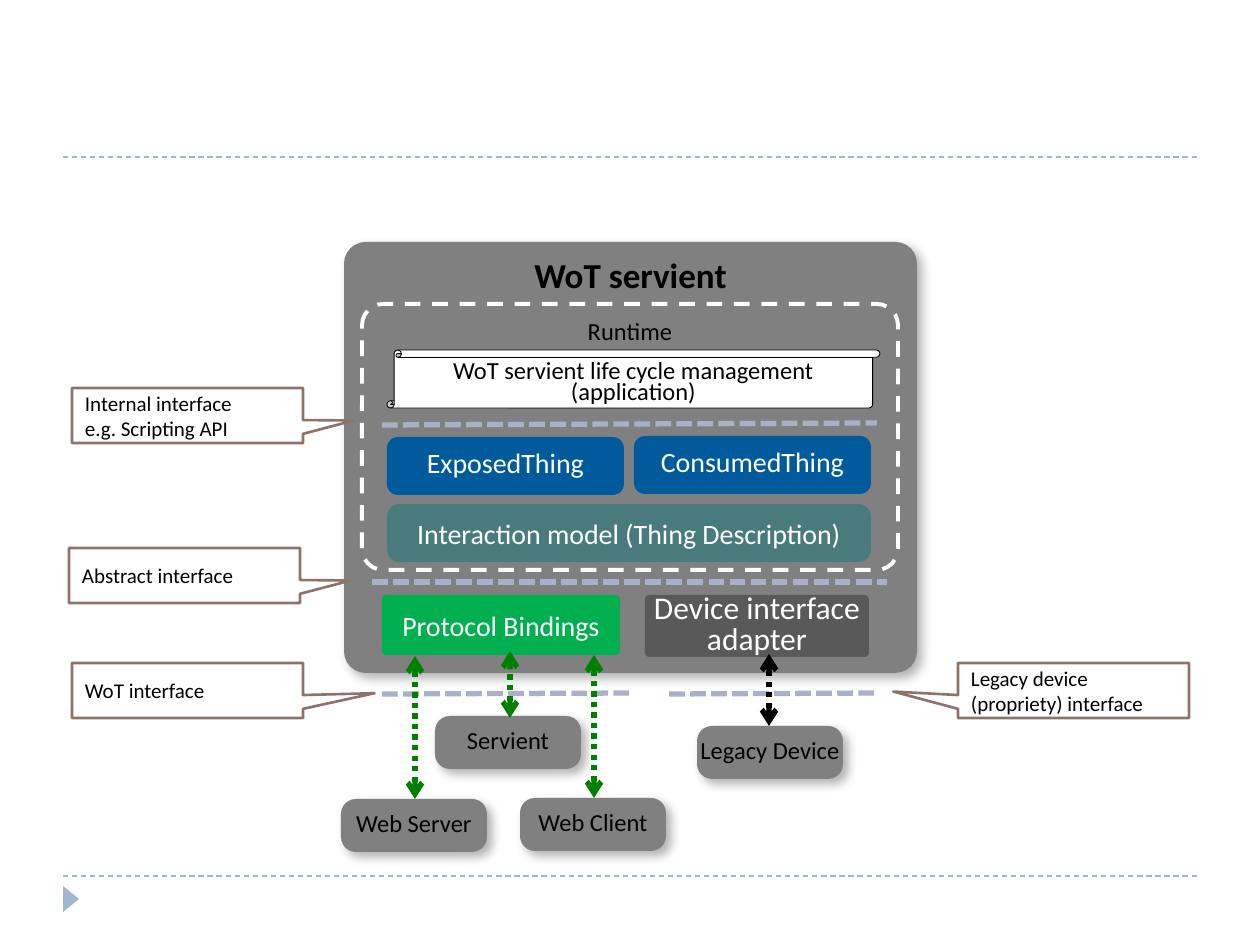
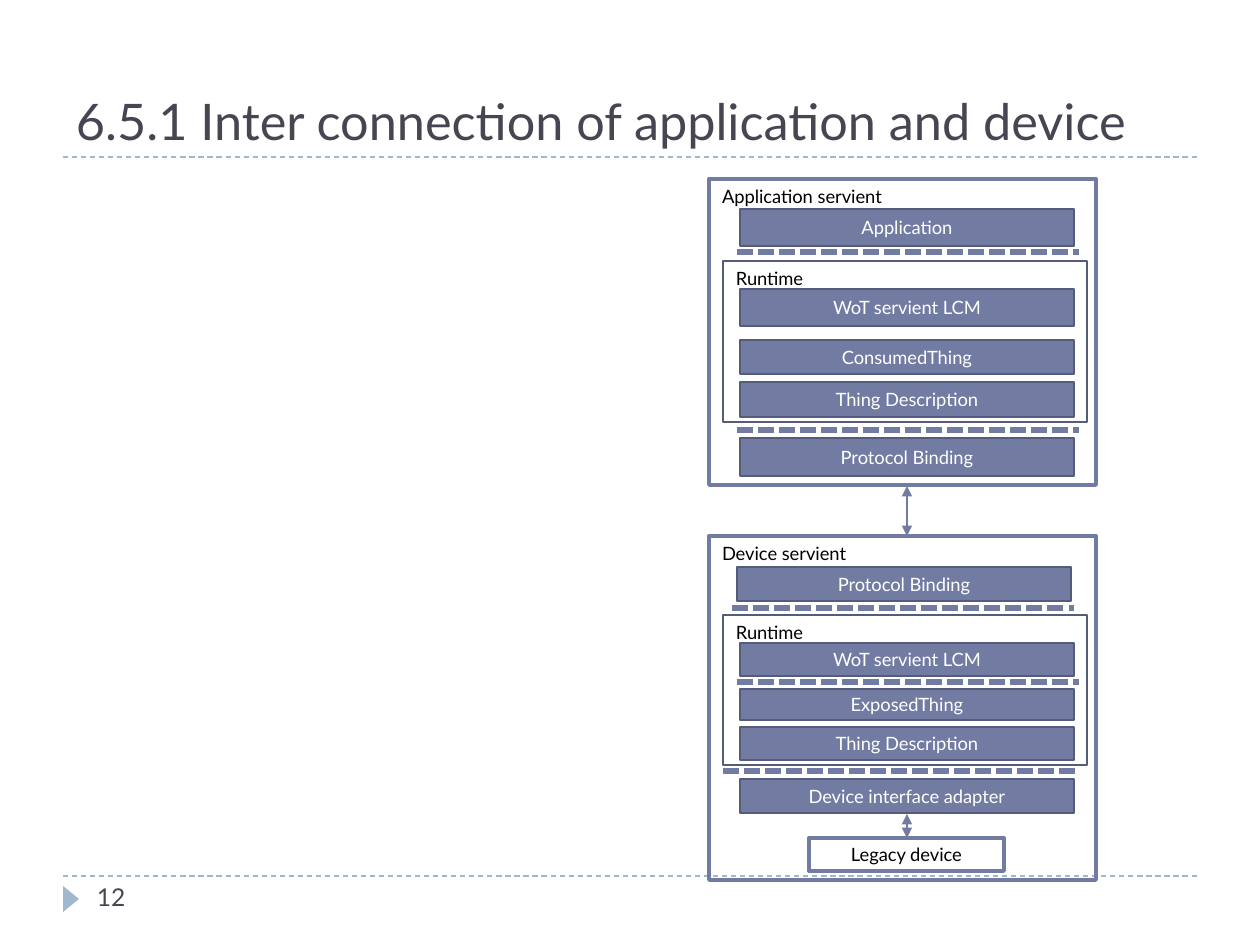
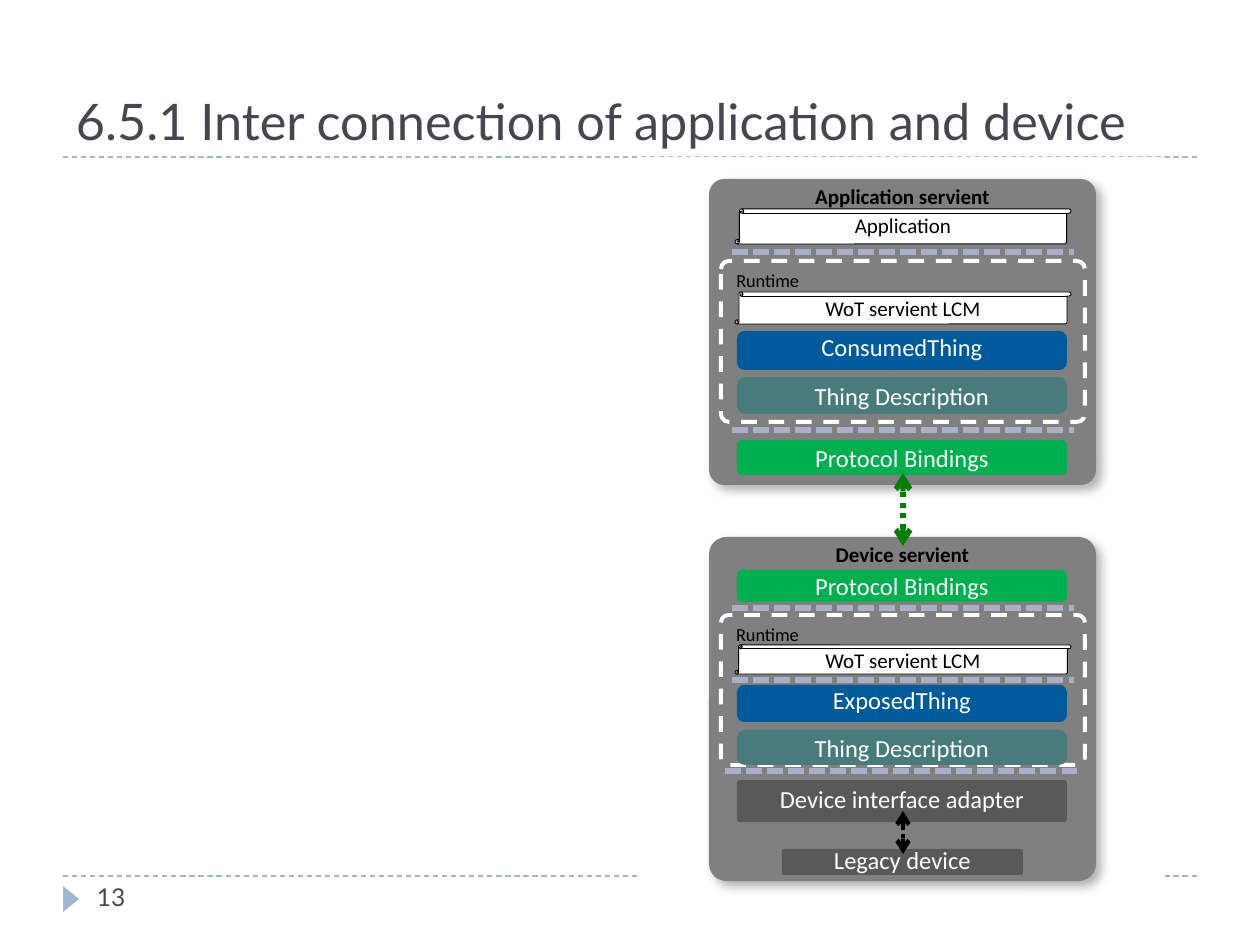
from lxml.etree import SubElement
from pptx import Presentation
from pptx.dml.color import RGBColor
from pptx.enum.dml import MSO_LINE as DASH
from pptx.enum.shapes import MSO_CONNECTOR, MSO_SHAPE as SHAPE
from pptx.enum.text import MSO_ANCHOR as ANCHOR, MSO_AUTO_SIZE, PP_ALIGN as ALIGN
from pptx.oxml.ns import qn
from pptx.util import Inches, Pt

PX = Inches(1) / 126

# Colours
WHITE = RGBColor(0xFF, 0xFF, 0xFF)
BLACK = RGBColor(0x00, 0x00, 0x00)
INK = RGBColor(0x46, 0x46, 0x53)
RULE_BLUE = RGBColor(0x9F, 0xB8, 0xCD)
GRAY = RGBColor(0x80, 0x80, 0x80)
DARK_GRAY = RGBColor(0x59, 0x59, 0x59)
LILAC = RGBColor(0xAA, 0xB0, 0xC8)
BROWN = RGBColor(0x8E, 0x73, 0x6A)
GREEN = RGBColor(0x00, 0xB0, 0x50)
ARROW_GREEN = RGBColor(0x00, 0x80, 0x00)
TEAL = RGBColor(0x4A, 0x7B, 0x7C)
BLUE = RGBColor(0x00, 0x5A, 0x9C)
SLATE = RGBColor(0x72, 0x7C, 0xA3)
DARK_SLATE = RGBColor(0x54, 0x5C, 0x79)

TITLE = "6.5.1 Inter connection of application and device"

# Text formats
BASE = {"font": "Calibri", "size": 14, "color": BLACK, "align": ALIGN.CENTER,
        "anchor": ANCHOR.MIDDLE, "wrap": False}
LIGHT = BASE | {"color": WHITE}
LATO = BASE | {"font": "Lato", "size": 10.5, "wrap": True}
LEFT_TOP = {"align": ALIGN.LEFT, "anchor": ANCHOR.TOP}
TITLE_TEXT = LATO | {"size": 28.8, "color": INK, "align": ALIGN.LEFT, "anchor": ANCHOR.BOTTOM}
NUMBER_TEXT = LATO | LEFT_TOP | {"size": 14, "color": INK}

# Box formats for the coloured diagrams
PANEL = {"kind": SHAPE.RECTANGLE, "fill": WHITE}
SERVIENT = BASE | {"fill": GRAY, "adjust": [0.05], "shadow": True, "bold": True, "size": 12,
                   "anchor": ANCHOR.TOP, "insets": (13, 0, 13, 0)}
PEER = BASE | {"fill": GRAY, "adjust": [0.28], "shadow": True, "insets": (13, 5, 13, 10)}
RUNTIME = BASE | {"line": WHITE, "width": 2.25, "dash": DASH.DASH, "adjust": [0.05],
                  "anchor": ANCHOR.TOP, "wrap": True}
SCROLL = BASE | {"kind": SHAPE.VERTICAL_SCROLL, "fill": WHITE, "line": BLACK, "width": 0.5,
                 "size": 12, "anchor": ANCHOR.TOP, "spacing": 0.7}
THING = LIGHT | {"fill": BLUE, "adjust": [0.19], "insets": (13, 6, 13, 13)}
MODEL = LIGHT | {"fill": TEAL, "adjust": [0.22]}
BINDING = LIGHT | {"fill": GREEN, "adjust": [0.15]}
ADAPTER = LIGHT | {"fill": DARK_GRAY, "adjust": [0.07], "spacing": 0.8}
CALLOUT = BASE | {"kind": SHAPE.RECTANGULAR_CALLOUT, "fill": WHITE, "line": BROWN,
                  "width": 1.5, "size": 12, "align": ALIGN.LEFT, "wrap": True}

# Box formats for the plain diagram
FRAME = LATO | LEFT_TOP | {"kind": SHAPE.RECTANGLE, "line": SLATE, "width": 2.25}
INNER_FRAME = FRAME | {"line": DARK_SLATE, "width": 1.5}
BAR = LATO | {"kind": SHAPE.RECTANGLE, "fill": SLATE, "line": DARK_SLATE, "width": 1.5,
              "color": WHITE}
LEGACY = LATO | {"kind": SHAPE.RECTANGLE, "fill": WHITE, "line": SLATE, "width": 2.25}

# Line formats
RULE = {"line": RULE_BLUE, "width": 0.75, "dash": DASH.DASH}
INTERFACE = {"line": LILAC, "width": 3, "dash": DASH.SQUARE_DOT}
PLAIN_INTERFACE = INTERFACE | {"line": SLATE}
WOT_LINK = {"line": ARROW_GREEN, "width": 3, "dash": DASH.ROUND_DOT, "ends": "arrow"}
LEGACY_LINK = WOT_LINK | {"line": BLACK}
PLAIN_LINK = {"line": SLATE, "width": 0.75, "ends": "triangle"}


def px(*lengths):
    return [round(length * PX) for length in lengths]


def write_text(text_frame, text, style):
    """Write one paragraph per line of text."""
    frame_format = {"word_wrap": style["wrap"], "vertical_anchor": style["anchor"],
                    "auto_size": MSO_AUTO_SIZE.NONE}
    sides = ("margin_left", "margin_top", "margin_right", "margin_bottom")
    frame_format |= zip(sides, px(*style.get("insets", (13, 6, 13, 6))))
    for name, value in frame_format.items():
        setattr(text_frame, name, value)
    font_format = {"name": style["font"], "size": Pt(style["size"]),
                   "bold": style.get("bold", False)}
    for index, line in enumerate(text.split("\n")):
        paragraph = text_frame.add_paragraph() if index else text_frame.paragraphs[0]
        paragraph.alignment = style["align"]
        if "spacing" in style:
            paragraph.line_spacing = style["spacing"]
        run = paragraph.add_run()
        run.text = line
        for name, value in font_format.items():
            setattr(run.font, name, value)
        run.font.color.rgb = style["color"]


def format_line(line, style):
    line.color.rgb = style["line"]
    line.width = Pt(style["width"])
    if "dash" in style:
        line.dash_style = style["dash"]


def add_shadow(shape):
    effects = shape.element.spPr.find(qn("a:effectLst"))
    shadow = SubElement(effects, qn("a:outerShdw"), blurRad=str(Pt(6)), dist=str(Pt(4)),
                        dir="2700000", algn="tl", rotWithShape="0")
    color = SubElement(shadow, qn("a:srgbClr"), val=str(BLACK))
    SubElement(color, qn("a:alpha"), val="30000")


def add_box(shapes, style, box, text=""):
    shape = shapes.add_shape(style.get("kind", SHAPE.ROUNDED_RECTANGLE), *px(*box))
    shape.shadow.inherit = False
    for index, value in enumerate(style.get("adjust", [])):
        shape.adjustments[index] = value
    if "fill" in style:
        shape.fill.solid()
        shape.fill.fore_color.rgb = style["fill"]
    else:
        shape.fill.background()
    if "line" in style:
        format_line(shape.line, style)
    else:
        shape.line.fill.background()
    if style.get("shadow"):
        add_shadow(shape)
    if text:
        write_text(shape.text_frame, text, style)
    return shape


def add_line(shapes, style, *ends):
    connector = shapes.add_connector(MSO_CONNECTOR.STRAIGHT, *px(*ends))
    format_line(connector.line, style)
    properties = connector.element.spPr
    if "ends" in style:
        for tag in ("a:headEnd", "a:tailEnd"):
            SubElement(properties.find(qn("a:ln")), qn(tag), type=style["ends"])
    SubElement(properties, qn("a:effectLst"))


def add_stack(shapes, left, width, rows):
    """Add boxes that share left edge and width; a row is style, top, height, text."""
    for style, top, height, text in rows:
        add_box(shapes, style, (left, top, width, height), text)


def add_levels(shapes, style, left, right, levels):
    for level in levels:
        add_line(shapes, style, left, level, right, level)


def add_slide(presentation, number=None):
    """Add a slide with rules and marker, and with title and number if numbered."""
    layout = presentation.slide_layouts[5 if number else 6]
    slide = presentation.slides.add_slide(layout)
    add_levels(slide.shapes, RULE, 63, 1197, (876, 157))
    marker = add_box(slide.shapes, {"kind": SHAPE.ISOSCELES_TRIANGLE, "fill": RULE_BLUE},
                     (58, 891, 26, 16))
    marker.rotation = 90
    if number:
        title = slide.shapes.title
        title.left, title.top, title.width, title.height = px(63, 31, 1134, 126)
        write_text(title.text_frame, TITLE, TITLE_TEXT)
        number_box = slide.shapes.add_textbox(*px(84, 876, 273, 50))
        write_text(number_box.text_frame, str(number), NUMBER_TEXT)
    return slide


def build_servient_slide(presentation):
    shapes = add_slide(presentation).shapes
    add_box(shapes, PANEL, (35, 219, 1216, 650))
    add_box(shapes, SERVIENT | {"size": 20, "insets": (13, 5, 13, 10)},
            (344, 242, 573, 431), "WoT servient")
    add_box(shapes, RUNTIME | {"adjust": [0.08]}, (362, 304, 536, 266), "Runtime")

    # Interfaces and their callouts
    for ends in ((372, 582, 887, 582), (382, 694, 634, 693),
                 (669, 694, 878, 693), (382, 425, 877, 423)):
        add_line(shapes, INTERFACE, *ends)
    for left, top, pointer, text in (
            (69, 548, [0.72, 0.09], "Abstract interface"),
            (72, 663, [0.81, 0.05], "WoT interface"),
            (958, 663, [-0.78, 0.02], "Legacy device (propriety) interface"),
            (72, 388, [0.72, 0.09], "Internal interface\ne.g. Scripting API")):
        add_box(shapes, CALLOUT | {"adjust": pointer}, (left, top, 231, 55), text)

    # Bindings and connected peers
    add_box(shapes, BINDING | {"size": 16, "adjust": [0.07]}, (382, 595, 238, 60),
            "Protocol Bindings")
    add_box(shapes, ADAPTER | {"size": 18}, (645, 595, 224, 62), "Device interface\nadapter")
    for left, top, text in ((520, 798, "Web Client"), (341, 799, "Web Server"),
                            (435, 716, "Servient"), (697, 726, "Legacy Device")):
        add_box(shapes, PEER, (left, top, 146, 53), text)
    add_line(shapes, LEGACY_LINK, 769, 654, 769, 726)
    for center, bottom, top in ((594, 798, 655), (510, 718, 651), (415, 799, 656)):
        add_line(shapes, WOT_LINK, center, bottom, center, top)

    # Runtime contents
    add_box(shapes, MODEL | {"size": 16}, (387, 504, 484, 58),
            "Interaction model (Thing Description)")
    add_box(shapes, SCROLL | {"size": 14}, (387, 350, 493, 58),
            "WoT servient life cycle management\n(application)")
    add_box(shapes, THING | {"size": 16}, (387, 437, 237, 58), "ExposedThing")
    add_box(shapes, THING | {"size": 16}, (634, 436, 237, 58), "ConsumedThing")


def build_plain_slide(presentation):
    slide = add_slide(presentation, 12)

    # Application servient
    shapes = slide.shapes.add_group_shape().shapes
    add_box(shapes, FRAME, (709, 179, 387, 306), "Application servient")
    add_box(shapes, INNER_FRAME, (723, 261, 364, 161), "Runtime")
    add_stack(shapes, 740, 334, (
        (BAR, 209, 37, "Application"),
        (BAR, 289, 37, "WoT servient LCM"),
        (BAR, 340, 34, "ConsumedThing"),
        (BAR, 382, 35, "Thing Description"),
        (BAR, 438, 38, "Protocol Binding")))
    add_levels(shapes, PLAIN_INTERFACE, 737, 1079, (252, 430))

    # Device servient
    shapes = slide.shapes.add_group_shape().shapes
    add_box(shapes, FRAME, (709, 536, 387, 344), "Device servient")
    add_box(shapes, INNER_FRAME, (723, 615, 364, 150), "Runtime")
    add_box(shapes, BAR, (737, 567, 334, 34), "Protocol Binding")
    add_stack(shapes, 740, 334, (
        (BAR, 643, 33, "WoT servient LCM"),
        (BAR, 689, 31, "ExposedThing"),
        (BAR, 727, 33, "Thing Description"),
        (BAR, 779, 34, "Device interface adapter")))
    add_box(shapes, LEGACY, (809, 838, 195, 33), "Legacy device")
    add_line(shapes, PLAIN_INTERFACE, 732, 608, 1074, 608)
    add_line(shapes, PLAIN_INTERFACE, 737, 682, 1079, 682)
    add_line(shapes, PLAIN_INTERFACE, 723, 771, 1079, 771)
    add_line(shapes, PLAIN_LINK | {"width": 1.5, "dash": DASH.DASH}, 907, 814, 907, 838)

    add_line(slide.shapes, PLAIN_LINK, 907, 486, 907, 536)


def build_colored_slide(presentation):
    shapes = add_slide(presentation, 13).shapes
    add_box(shapes, PANEL, (640, 157, 525, 756))
    add_stack(shapes, 709, 387, (
        (SERVIENT, 537, 344, "Device servient"),
        (SERVIENT, 179, 306, "Application servient")))
    runtime = RUNTIME | {"size": 10.5, "align": ALIGN.LEFT}
    add_stack(shapes, 721, 364, (
        (runtime, 261, 161, "Runtime"),
        (runtime, 615, 150, "Runtime")))
    add_levels(shapes, INTERFACE, 732, 1074, (252, 430, 608, 680))
    add_line(shapes, INTERFACE, 725, 771, 1081, 771)

    # Layers of both servients
    add_stack(shapes, 735, 336, (
        (SCROLL, 209, 35, "Application"),
        (SCROLL, 292, 32, "WoT servient LCM"),
        (SCROLL, 645, 29, "WoT servient LCM")))
    add_stack(shapes, 737, 330, (
        (THING, 331, 39, "ConsumedThing"),
        (MODEL, 377, 37, "Thing Description"),
        (BINDING, 440, 35, "Protocol Bindings"),
        (BINDING, 570, 32, "Protocol Bindings"),
        (THING, 685, 37, "ExposedThing"),
        (MODEL, 730, 35, "Thing Description"),
        (ADAPTER, 780, 42, "Device interface adapter")))
    add_box(shapes, ADAPTER, (782, 849, 241, 26), "Legacy device")

    # Links
    add_line(shapes, LEGACY_LINK | {"width": 2.5}, 903, 811, 903, 854)
    add_line(shapes, WOT_LINK, 903, 546, 903, 473)


def main():
    presentation = Presentation()
    presentation.slide_width, presentation.slide_height = px(1260, 945)
    build_servient_slide(presentation)
    build_plain_slide(presentation)
    build_colored_slide(presentation)
    presentation.save("out.pptx")


if __name__ == "__main__":
    main()
